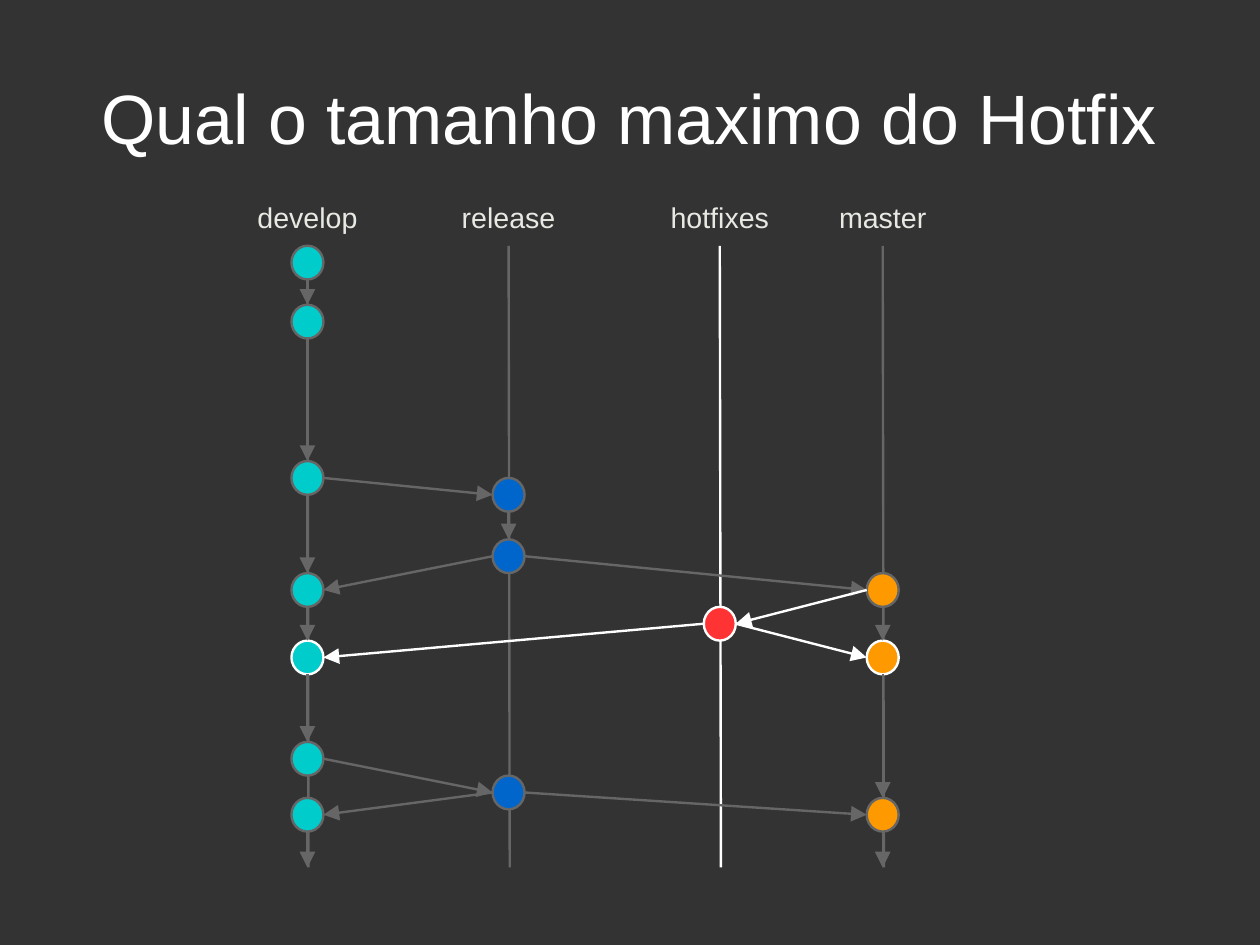
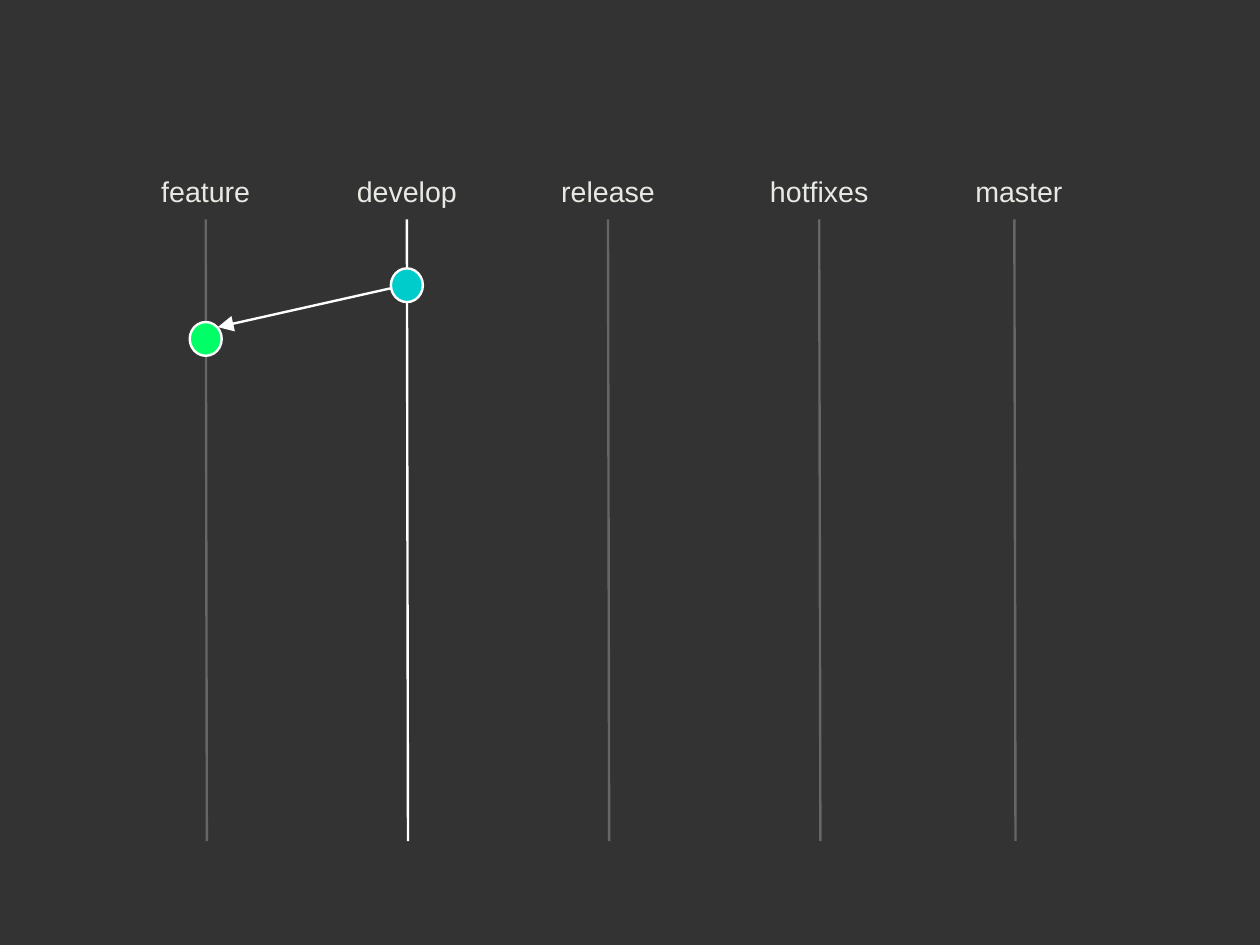
"""Draws two slides of Git branch lanes, with their commits and merges."""
from dataclasses import dataclass
from lxml import etree
from pptx import Presentation
from pptx import util as u
from pptx.dml.color import RGBColor
from pptx.enum import shapes, text
from pptx.oxml import ns

TOP, LEFT, BOTTOM, RIGHT = range(4)
PAGE = u.Pt(793.75), u.Pt(595.25)
WIDE, HIGH = (side.inches for side in PAGE)


@dataclass(frozen=True)
class Theme:
    """Colours, font, type sizes and line width."""
    back: str = "333333"
    white: str = "FFFFFF"
    label: str = "E7EAE3"
    gray: str = "666666"
    teal: str = "00CCCC"
    blue: str = "0066CC"
    amber: str = "FF9900"
    red: str = "FF3333"
    green: str = "00FF66"
    font: str = "Arial"
    title: int = 44
    small: int = 18
    line: float = 1.5


LOOK = Theme()


@dataclass(frozen=True)
class Grid:
    """Lane columns and commit rows, measured from the top of the first lane."""
    left: float
    top: float
    col: float = 1.76
    row: float = HIGH / 28
    rows: float = 18.42

    def spot(self, col, row):
        """Gives the point at a column and a row."""
        return self.left + col * self.col, self.top + row * self.row


def rgb(ink):
    """Turns a hex code into a colour."""
    return RGBColor.from_string(ink)


def write(slide, words, box, size, ink, pad=0.1, mid=False):
    """Adds one centred line of text."""
    frame = slide.shapes.add_textbox(*map(u.Inches, box)).text_frame
    frame.word_wrap = True
    frame.margin_left = frame.margin_right = u.Inches(pad)
    frame.margin_top = frame.margin_bottom = u.Inches(pad)
    if mid:
        frame.vertical_anchor = text.MSO_ANCHOR.MIDDLE
    para = frame.paragraphs[0]
    para.text = words
    para.alignment = text.PP_ALIGN.CENTER
    para.font.name, para.font.size = LOOK.font, u.Pt(size)
    para.font.color.rgb = rgb(ink)


def stroke(slide, start, end, ink, head=False):
    """Adds a straight line, with an arrowhead if asked."""
    ends = map(u.Inches, (*start, *end))
    line = slide.shapes.add_connector(shapes.MSO_CONNECTOR.STRAIGHT, *ends)
    line.line.color.rgb = rgb(ink)
    line.line.width = u.Pt(LOOK.line)
    if head:
        pen = line._element.spPr.find(ns.qn("a:ln"))
        etree.SubElement(pen, ns.qn("a:tailEnd"), type="triangle", w="lg", len="lg")
    etree.SubElement(line._element.spPr, ns.qn("a:effectLst"))
    return line


def lane(slide, grid, name, col, ink, shift=0):
    """Adds a branch line under its name."""
    x, y = grid.spot(col, 0)
    low = grid.spot(col, grid.rows)[1]
    stroke(slide, (x, y), (x + 0.01, low), ink)
    box = (x - 0.72 + shift, y - 0.5, 1.44, 0.49)
    write(slide, name, box, LOOK.small, LOOK.label)


def dot(slide, grid, col, row, fill, ink):
    """Adds a commit on its lane."""
    x, y = grid.spot(col, row)
    box = map(u.Inches, (x - 0.14, y - grid.row / 2, 0.28, grid.row))
    node = slide.shapes.add_shape(shapes.MSO_SHAPE.FLOWCHART_CONNECTOR, *box)
    node.shadow.inherit = False
    node.fill.solid()
    node.fill.fore_color.rgb = rgb(fill)
    node.line.color.rgb = rgb(ink)
    node.line.width = u.Pt(LOOK.line)
    return node


def glue(line, tag, side):
    """Points a joined end at one of a circle's eight sites."""
    line._element.find(".//" + ns.qn(tag)).set("idx", str(side * 2))


def join(slide, tail, out, tip, into, ink):
    """Adds an arrow between two commits, glued to their sides."""
    line = stroke(slide, (0, 0), (0, 0), ink, True)
    line.begin_connect(tail, out)
    line.end_connect(tip, into)
    glue(line, "a:stCxn", out)
    glue(line, "a:endCxn", into)


def leave(slide, grid, node, col):
    """Adds an arrow from the last commit to the end of its lane."""
    end = grid.spot(col, grid.rows)
    line = stroke(slide, end, end, LOOK.gray, True)
    line.begin_connect(node, BOTTOM)
    glue(line, "a:stCxn", BOTTOM)


def hotfix(slide):
    """Builds the slide on the hotfix flow."""
    grid = Grid(2.69, 2.15)
    write(slide, "Qual o tamanho maximo do Hotfix",
          (WIDE * 0.05, HIGH * 0.04, WIDE * 0.9, HIGH / 6),
          LOOK.title, LOOK.white, 0, True)
    cols = {"develop": 0, "release": 1, "hotfixes": 2.05, "master": 2.86}
    for name, col in cols.items():
        lane(slide, grid, name, col, LOOK.white if name == "hotfixes" else LOOK.gray)
    lit = {("develop", 12.2), ("hotfixes", 11.2), ("master", 12.2)}
    plan = {
        "develop": (LOOK.teal, (0.5, 2.25, 6.88, 10.2, 12.2, 15.2, 16.86)),
        "release": (LOOK.blue, (7.38, 9.2, 16.2)),
        "hotfixes": (LOOK.red, (11.2,)),
        "master": (LOOK.amber, (10.2, 12.2, 16.86)),
    }
    nodes = {}
    for name, (fill, rows) in plan.items():
        nodes[name] = [
            dot(slide, grid, cols[name], row, fill,
                LOOK.white if (name, row) in lit else LOOK.gray)
            for row in rows]
    dev, rel, fix, prod = nodes.values()
    falls = [*zip(dev[:5], dev[1:6]), (rel[0], rel[1]), *zip(prod, prod[1:])]
    for tail, tip in falls:
        join(slide, tail, BOTTOM, tip, TOP, LOOK.gray)
    for tail, tip, ink in (
            (dev[2], rel[0], LOOK.gray), (rel[1], prod[0], LOOK.gray),
            (dev[5], rel[2], LOOK.gray), (rel[2], prod[2], LOOK.gray),
            (fix[0], prod[1], LOOK.white)):
        join(slide, tail, RIGHT, tip, LEFT, ink)
    for tail, tip, ink in (
            (rel[1], dev[3], LOOK.gray), (rel[2], dev[6], LOOK.gray),
            (prod[0], fix[0], LOOK.white), (fix[0], dev[4], LOOK.white)):
        join(slide, tail, LEFT, tip, RIGHT, ink)
    for name in ("develop", "master"):
        leave(slide, grid, nodes[name][-1], cols[name])


def feature(slide):
    """Builds the slide on the start of a feature."""
    grid = Grid(1.8, 1.92)
    cols = {"feature": 0, "develop": 1, "release": 2, "hotfixes": 3.05}
    for name, col in cols.items():
        lane(slide, grid, name, col, LOOK.white if name == "develop" else LOOK.gray)
    lane(slide, grid, "master", 4.02, LOOK.gray, 0.04)
    dot(slide, grid, cols["develop"], 1.95, LOOK.teal, LOOK.white)
    dot(slide, grid, cols["feature"], 3.54, LOOK.green, LOOK.white)
    stroke(slide, grid.spot(0.92, 2.04), grid.spot(0.06, 3.19), LOOK.white, True)


def main():
    """Builds and saves the deck."""
    deck = Presentation()
    deck.slide_width, deck.slide_height = PAGE
    back = deck.slide_master.background.fill
    back.solid()
    back.fore_color.rgb = rgb(LOOK.back)
    for build in (hotfix, feature):
        build(deck.slides.add_slide(deck.slide_layouts[6]))
    deck.save("out.pptx")


if __name__ == "__main__":
    main()
